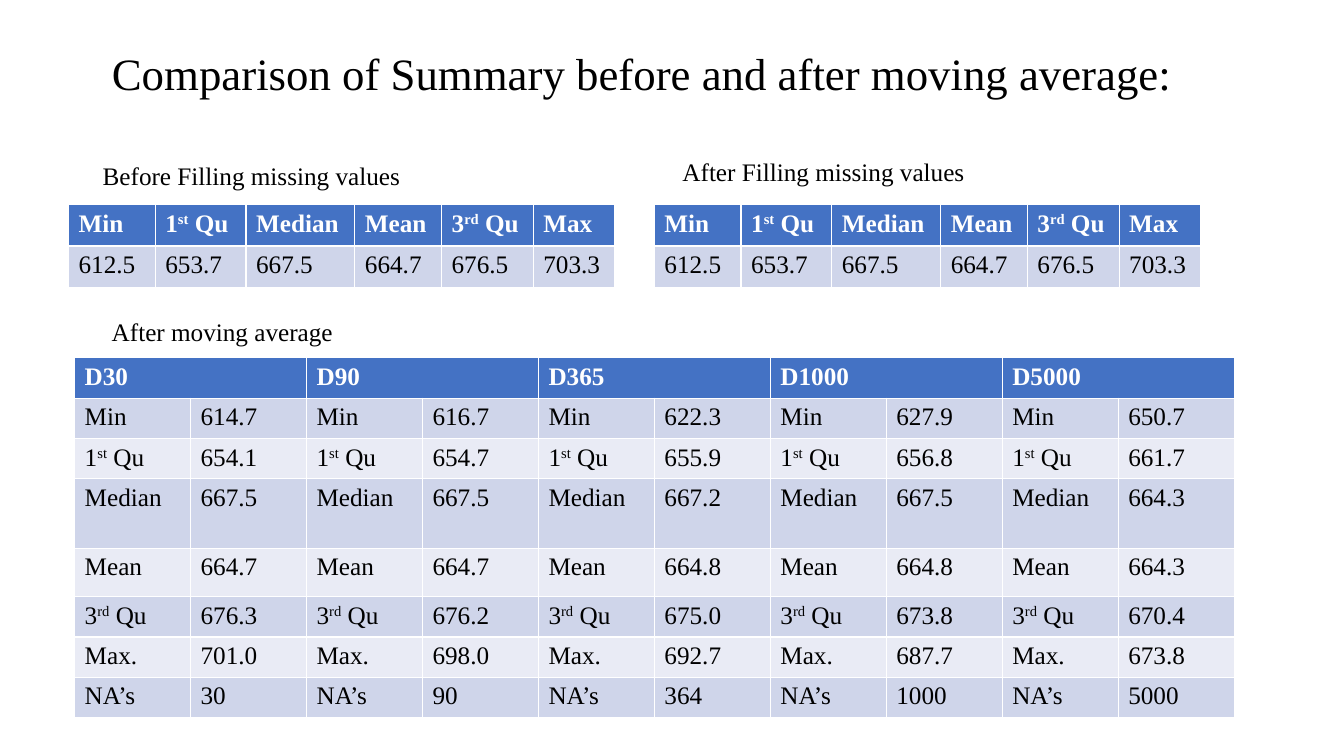
"""Builds a slide comparing summary tables before and after a moving average."""
from dataclasses import dataclass

from pptx import Presentation
from pptx.dml.color import RGBColor
from pptx.enum.text import MSO_ANCHOR, MSO_AUTO_SIZE, PP_ALIGN
from pptx.util import Pt

SCALE = 9144


@dataclass(frozen=True)
class Theme:
    font: str = "Times New Roman"
    ink: str = "000000"
    white: str = "FFFFFF"
    head: str = "4472C4"
    bands: tuple = ("CFD5EA", "E9EBF5")
    large: int = 32
    small: int = 18


class Page:
    def __init__(self, deck, theme):
        self.theme = theme
        self.slide = deck.slides.add_slide(deck.slide_layouts[5])

    def style(self, run, size, color, bold=False):
        font = run.font
        font.name, font.size, font.bold = self.theme.font, Pt(size), bold
        font.color.rgb = RGBColor.from_string(color)

    def title(self, text, left, top, width, height):
        shape = self.slide.shapes.title
        shape.left, shape.top = left * SCALE, top * SCALE
        shape.width, shape.height = width * SCALE, height * SCALE
        frame = shape.text_frame
        frame.text = text
        frame.vertical_anchor = MSO_ANCHOR.MIDDLE
        para = frame.paragraphs[0]
        para.alignment, para.line_spacing = PP_ALIGN.LEFT, 0.9
        self.style(para.runs[0], self.theme.large, self.theme.ink)

    def label(self, text, left, top, width=331, height=40):
        box = self.slide.shapes.add_textbox(
            left * SCALE, top * SCALE, width * SCALE, height * SCALE)
        frame = box.text_frame
        frame.text = text
        frame.word_wrap = True
        frame.auto_size = MSO_AUTO_SIZE.SHAPE_TO_FIT_TEXT
        self.style(frame.paragraphs[0].runs[0], self.theme.small, self.theme.ink)

    def cell(self, cell, text, fill, color, bold):
        cell.fill.solid()
        cell.fill.fore_color.rgb = RGBColor.from_string(fill)
        para = cell.text_frame.paragraphs[0]
        for spot, part in enumerate(text.split("^")):
            run = para.add_run()
            run.text = part
            self.style(run, self.theme.small, color, bold)
            if spot == 1:
                run.font._element.set("baseline", "30000")

    def table(self, rows, left, top, widths, heights, span=1):
        grid = self.slide.shapes.add_table(
            len(rows), len(widths), left * SCALE, top * SCALE,
            sum(widths) * SCALE, sum(heights) * SCALE).table
        for col, width in zip(grid.columns, widths):
            col.width = width * SCALE
        for row, height in zip(grid.rows, heights):
            row.height = height * SCALE
        for col, text in enumerate(rows[0]):
            first = grid.cell(0, col * span)
            if span > 1:
                first.merge(grid.cell(0, col * span + span - 1))
            self.cell(first, text, self.theme.head, self.theme.white, True)
        for line, texts in enumerate(rows[1:], 1):
            fill = self.theme.bands[(line - 1) % 2]
            for col, text in enumerate(texts):
                self.cell(grid.cell(line, col), text, fill, self.theme.ink, False)


FIRST, THIRD = "1^st^ Qu", "3^rd^ Qu"
FILLED = [
    ["Min", FIRST, "Median", "Mean", THIRD, "Max"],
    ["612.5", "653.7", "667.5", "664.7", "676.5", "703.3"],
]
SPANS = ["D30", "D90", "D365", "D1000", "D5000"]
STATS = {
    "Min": ["614.7", "616.7", "622.3", "627.9", "650.7"],
    FIRST: ["654.1", "654.7", "655.9", "656.8", "661.7"],
    "Median": ["667.5", "667.5", "667.2", "667.5", "664.3"],
    "Mean": ["664.7", "664.7", "664.8", "664.8", "664.3"],
    THIRD: ["676.3", "676.2", "675.0", "673.8", "670.4"],
    "Max.": ["701.0", "698.0", "692.7", "687.7", "673.8"],
    "NA’s": ["30", "90", "364", "1000", "5000"],
}


def main():
    deck = Presentation()
    deck.slide_width, deck.slide_height = 1333 * SCALE, 750 * SCALE
    page = Page(deck, Theme())
    page.title("Comparison of Summary before and after moving average:",
               101, 3, 1150, 145)
    for left in (68, 649):
        page.table(FILLED, left, 203, [86, 90, 108, 86, 91, 81], [41, 41])
    moved = [SPANS] + [
        [text for value in values for text in (name, value)]
        for name, values in STATS.items()]
    page.table(moved, 74, 355, [115] * 10,
               [40, 40, 40, 69, 48, 40, 40, 40], span=2)
    page.label("Before Filling missing values", 92, 154)
    page.label("After Filling missing values", 667, 150)
    page.label("After moving average", 101, 309)
    deck.save("out.pptx")


if __name__ == "__main__":
    main()
